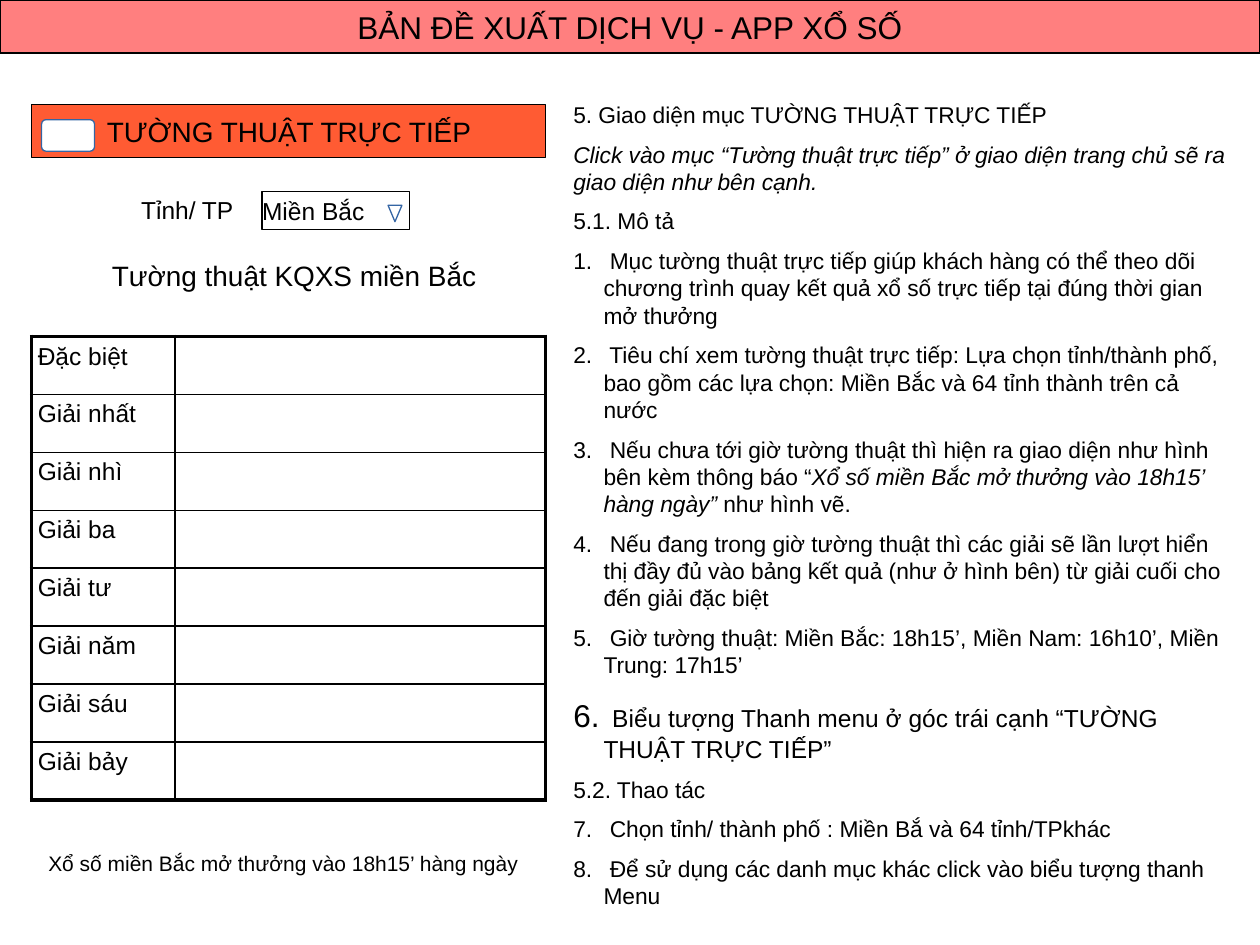
from dataclasses import dataclass
from typing import Optional

from lxml.etree import SubElement
from pptx import Presentation
from pptx.dml.color import RGBColor
from pptx.enum.shapes import MSO_SHAPE as Shape
from pptx.enum.text import MSO_ANCHOR as Anchor, MSO_AUTO_SIZE as Fit, PP_ALIGN as Align
from pptx.oxml.ns import qn
from pptx.util import Inches, Pt

BLACK = RGBColor(0, 0, 0)
WHITE = RGBColor(255, 255, 255)
RED = RGBColor(255, 0, 0)
ORANGE = RGBColor(0xFF, 0x33, 0)
BLUE = RGBColor(0x34, 0x65, 0xA4)
PAD = Inches(0.05)


@dataclass
class Box:
    kind: Shape
    at: tuple
    fill: RGBColor
    line: RGBColor = BLACK
    width: float = 0.75
    alpha: int = 100
    adj: Optional[float] = None


@dataclass
class Label:
    text: str
    at: tuple
    size: int
    align: Align = Align.CENTER
    inset: bool = True


@dataclass
class Para:
    runs: tuple
    num: int = 0
    size: int = 13
    space: int = 7
    slant: int = -1   # index of the italic run
    first: int = 0    # size of the first run, if different


def style(run, size: int, slant: bool = False) -> None:
    run.font.name = "Arial"
    run.font.size = Pt(size)
    run.font.italic = slant
    run.font.color.rgb = BLACK


def add_box(slide, box: Box) -> None:
    shape = slide.shapes.add_shape(box.kind, *map(Inches, box.at))
    shape.shadow.inherit = False
    shape.fill.solid()
    shape.fill.fore_color.rgb = box.fill
    shape.line.color.rgb = box.line
    shape.line.width = Pt(box.width)
    if box.adj is not None:
        shape.adjustments[0] = box.adj
    if box.alpha < 100:
        color = shape.fill._xPr.find(qn("a:solidFill"))[0]
        SubElement(color, qn("a:alpha"), val=str(box.alpha * 1000))


def add_frame(slide, at: tuple, inset: bool):
    frame = slide.shapes.add_textbox(*map(Inches, at)).text_frame
    frame.word_wrap = inset
    frame.auto_size = Fit.SHAPE_TO_FIT_TEXT
    frame.vertical_anchor = Anchor.TOP if inset else Anchor.MIDDLE
    pad = PAD if inset else 0
    frame.margin_left = frame.margin_right = pad
    frame.margin_top = frame.margin_bottom = pad
    return frame


def add_label(slide, label: Label) -> None:
    frame = add_frame(slide, label.at, label.inset)
    frame.text = label.text
    para = frame.paragraphs[0]
    para.alignment = label.align
    style(para.runs[0], label.size)


def add_notes(slide, at: tuple, items: list) -> None:
    frame = add_frame(slide, at, True)
    for i, item in enumerate(items):
        para = frame.paragraphs[0] if i == 0 else frame.add_paragraph()
        para.space_before = Pt(item.space)
        if item.num:
            props = para._p.get_or_add_pPr()
            props.set("marL", str(Inches(0.24)))
            props.set("indent", str(-Inches(0.24)))
            num = SubElement(props, qn("a:buAutoNum"), type="arabicPeriod")
            if item.num > 6:
                num.set("startAt", "7")
        for j, text in enumerate(item.runs):
            run = para.add_run()
            run.text = text
            size = item.first if item.first and j == 0 else item.size
            style(run, size, j == item.slant)


def edge(cell, side: str, width: float) -> None:
    line = SubElement(cell._tc.get_or_add_tcPr(), qn("a:" + side), w=str(Pt(width)))
    fill = SubElement(line, qn("a:solidFill"))
    SubElement(fill, qn("a:srgbClr"), val=str(BLACK))


def add_prizes(slide, names: list) -> None:
    rows, cols = len(names), (1.14, 2.94)
    spot = map(Inches, (0.25, 2.67, sum(cols), 0.46 * rows))
    table = slide.shapes.add_table(rows, len(cols), *spot).table
    table.first_row = table.horz_banding = False
    for c, width in enumerate(cols):
        table.columns[c].width = Inches(width)
    for r, name in enumerate(names):
        table.rows[r].height = Inches(0.46)
        for c in range(len(cols)):
            cell = table.cell(r, c)
            cell.margin_left = cell.margin_right = PAD
            cell.margin_top = cell.margin_bottom = PAD
            outer = {"lnL": c == 0, "lnR": c == 1, "lnT": r == 0, "lnB": r == rows - 1}
            for side, thick in outer.items():
                edge(cell, side, 2.25 if thick else 1)
            cell.fill.background()
        cell = table.cell(r, 0)
        cell.text_frame.text = name
        para = cell.text_frame.paragraphs[0]
        para.space_before = Pt(3)
        style(para.runs[0], 14)


NOTES = [
    Para(("5. Giao diện mục TƯỜNG THUẬT TRỰC TIẾP",)),
    Para(("Click vào mục “Tường thuật trực tiếp” ở giao diện trang chủ sẽ ra giao diện "
          "như bên cạnh.",), slant=0),
    Para(("5.1. Mô tả",)),
    Para((" Mục tường thuật trực tiếp giúp khách hàng có thể theo dõi chương trình quay "
          "kết quả xổ số trực tiếp tại đúng thời gian mở thưởng",), 1),
    Para((" Tiêu chí xem tường thuật trực tiếp: Lựa chọn tỉnh/thành phố, bao gồm các "
          "lựa chọn: Miền Bắc và 64 tỉnh thành trên cả nước",), 2),
    Para((" Nếu chưa tới giờ tường thuật thì hiện ra giao diện như hình bên kèm thông báo “",
          "Xổ số miền Bắc mở thưởng vào 18h15’ hàng ngày” ", "như hình vẽ."), 3, slant=1),
    Para((" Nếu đang trong giờ tường thuật thì các giải sẽ lần lượt hiển thị đầy đủ vào "
          "bảng kết quả (như ở hình bên) từ giải cuối cho đến giải đặc biệt",), 4),
    Para((" Giờ tường thuật: Miền Bắc: 18h15’, Miền Nam: 16h10’, Miền Trung: 17h15’",), 5),
    Para((" ", "Biểu tượng Thanh menu ở góc trái cạnh “TƯỜNG THUẬT TRỰC TIẾP”"),
         6, size=14, space=10, first=18),
    Para(("5.2. Thao tác",)),
    Para((" Chọn tỉnh/ thành phố : Miền Bắ và 64 tỉnh/TPkhác",), 7),
    Para((" Để sử dụng các danh mục khác click vào biểu tượng thanh Menu",), 8),
]
PRIZES = ["Đặc biệt", "Giải nhất", "Giải nhì", "Giải ba",
          "Giải tư", "Giải năm", "Giải sáu", "Giải bảy"]
PARTS = [
    Label("Xổ số miền Bắc mở thưởng vào 18h15’ hàng ngày", (0.25, 6.7, 4, 0.29), 12),
    # Screen header with menu button
    Box(Shape.RECTANGLE, (0.25, 0.83, 4.08, 0.42), ORANGE, alpha=80),
    Label("TƯỜNG THUẬT TRỰC TIẾP", (0.78, 0.87, 3.03, 0.34), 16, inset=False),
    Box(Shape.ROUNDED_RECTANGLE, (0.33, 0.95, 0.42, 0.25), WHITE, BLUE, 0, adj=0.14),
    Label("Tường thuật KQXS miền Bắc", (0.67, 2, 3.33, 0.34), 16),
    # Slide title
    Box(Shape.RECTANGLE, (0, 0, 10, 0.42), RED, alpha=50),
    Label("BẢN ĐỀ XUẤT DỊCH VỤ - APP XỔ SỐ", (2.75, 0.02, 4.5, 0.38), 18, inset=False),
    # Province picker
    Label("Tỉnh/ TP", (1.07, 1.5, 1.08, 0.32), 14, Align.LEFT),
    Box(Shape.RECTANGLE, (2.08, 1.52, 1.17, 0.3), WHITE),
    Label("Miền Bắc", (2.08, 1.51, 0.92, 0.32), 14, Align.LEFT, False),
    Box(Shape.FLOWCHART_MERGE, (3.08, 1.63, 0.11, 0.13), WHITE, BLUE, 0),
]

deck = Presentation()
deck.slide_width, deck.slide_height = Inches(10), Inches(7.5)
slide = deck.slides.add_slide(deck.slide_layouts[6])

# Description and prize table
add_notes(slide, (4.5, 0.75, 5.33, 6.22), NOTES)
add_prizes(slide, PRIZES)

# Labels and boxes, back to front
for part in PARTS:
    if isinstance(part, Box):
        add_box(slide, part)
    else:
        add_label(slide, part)

deck.save("out.pptx")
